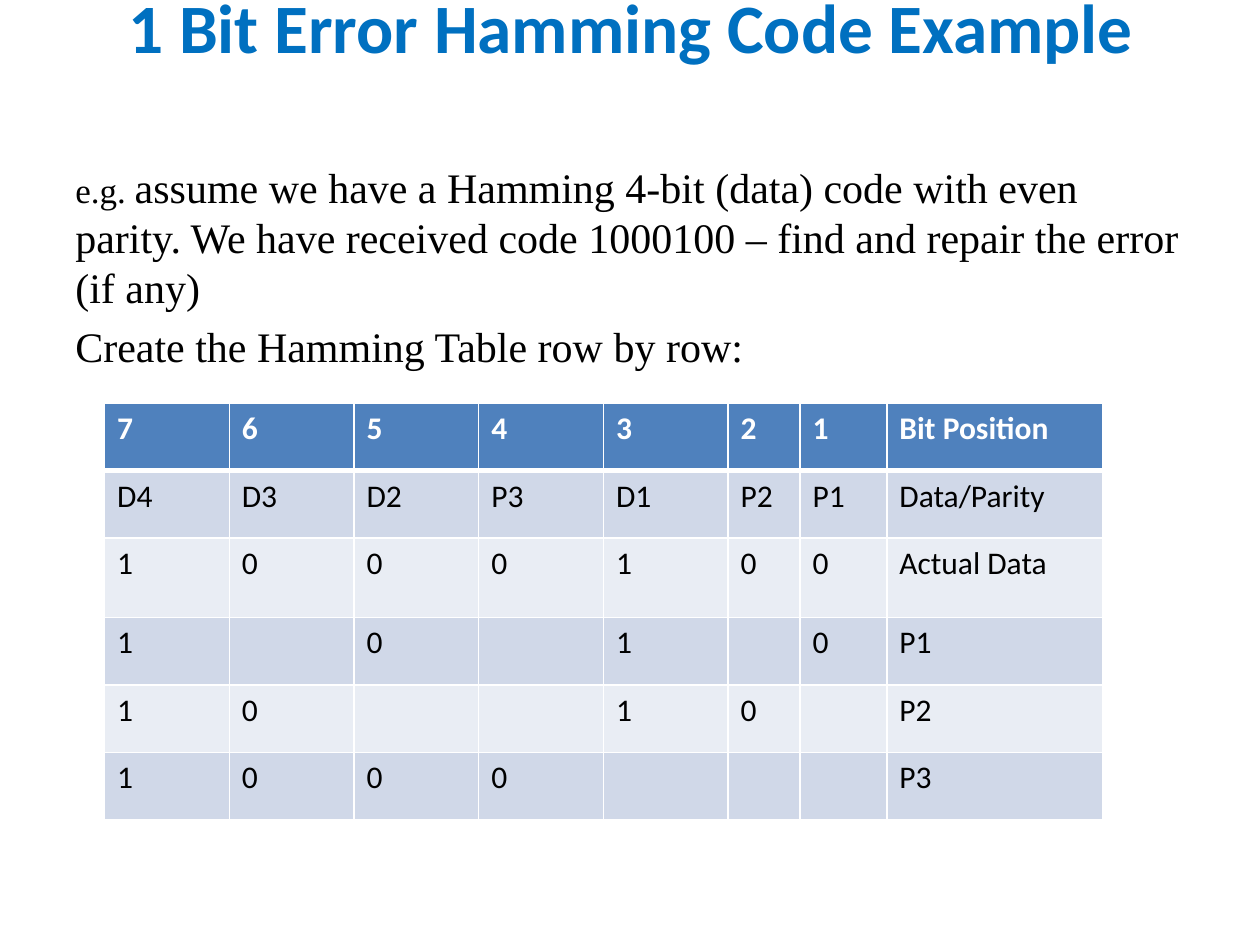
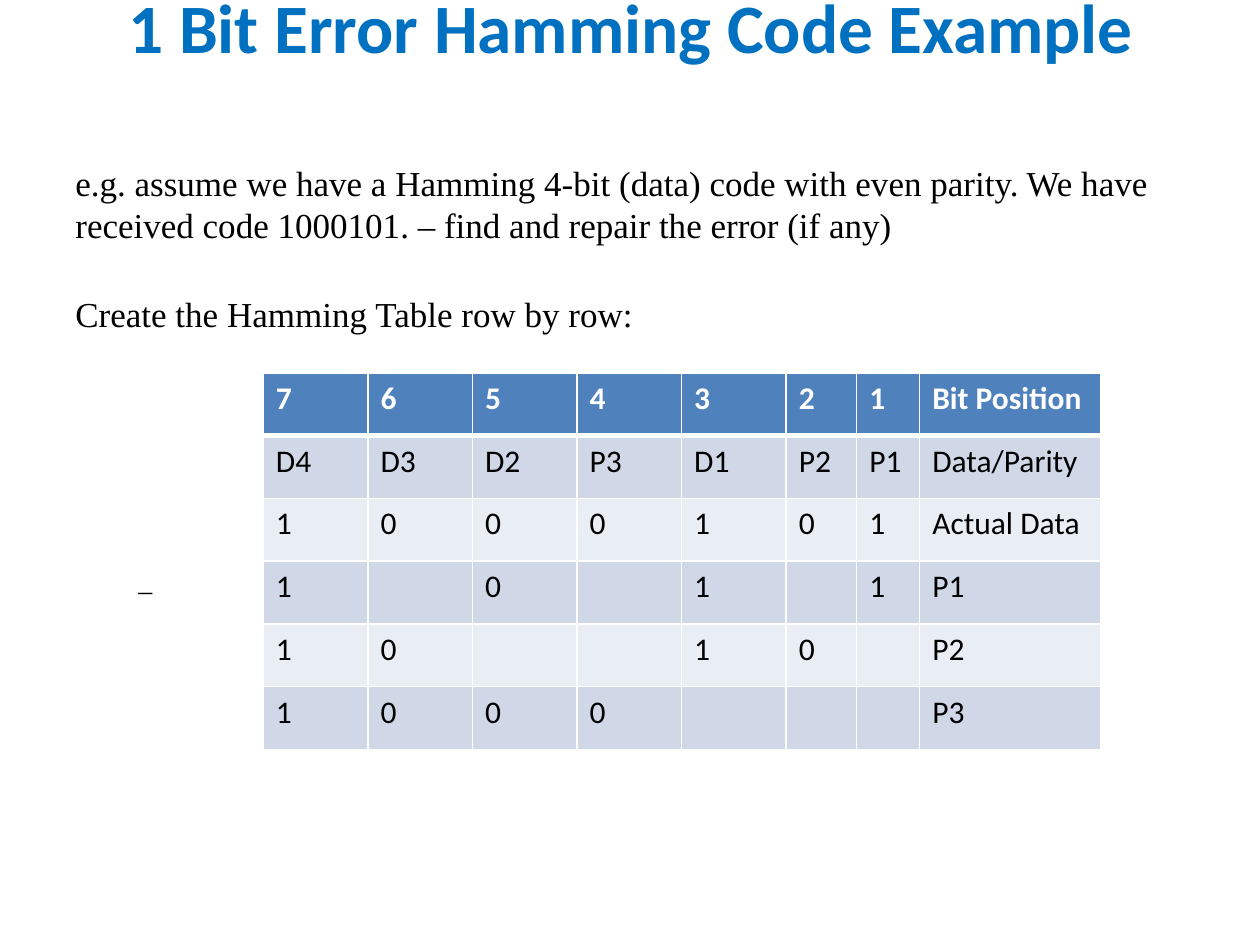
from dataclasses import dataclass

from lxml.etree import SubElement
from pptx import Presentation
from pptx.dml.color import RGBColor
from pptx.enum.text import MSO_ANCHOR, PP_ALIGN
from pptx.oxml.ns import qn
from pptx.slide import Slide
from pptx.table import _Cell
from pptx.text.text import _Paragraph
from pptx.util import Inches, Pt

COLORS = {"title": "0070C0", "text": "000000", "head": "4F81BD",
          "odd": "D0D8E8", "even": "E9EDF4", "line": "FFFFFF"}
TITLE = "1 Bit Error Hamming Code Example"
STEP = "Create the Hamming Table row by row:"
SPOTS = range(7, 0, -1)
KINDS = ["D4", "D3", "D2", "P3", "D1", "P2", "P1"]
CHECKS = {"P1": 1, "P2": 2, "P3": 4}
FACES = {
    "title": {"name": "Calibri", "size": Pt(39.6), "bold": True},
    "head": {"name": "Calibri", "size": Pt(18), "bold": True},
    "cell": {"name": "Calibri", "size": Pt(18), "bold": False},
    "body": {"name": "Times New Roman", "bold": False},
}


@dataclass
class Para:
    runs: list[tuple[str, float]]
    before: float = 0
    indent: float = 0


@dataclass
class Grid:
    left: float
    top: float
    cols: list[float]
    rows: list[float]


@dataclass
class Page:
    code: str
    depth: float
    paras: list[Para]
    grid: Grid


PAGES = [
    Page("1000100", 5.47, [
        Para([("e.g. ", 20),
              ("assume we have a Hamming 4-bit (data) code with even parity. "
               "We have received code 1000100 – find and repair the error (if any)", 24)]),
        Para([(STEP, 24)], 4.8),
    ], Grid(0.83, 3.2, [0.99] * 5 + [0.57, 0.69, 1.71],
            [2.68 / 5] * 2 + [0.63] + [2.68 / 5] * 3)),
    Page("1000101", 6.27, [
        Para([("e.g. assume we have a Hamming 4-bit (data) code with even parity. "
               "We have received code 1000101. – find and repair the error (if any)", 20)]),
        Para([(STEP, 20)], 27),
        Para([("–", 16)], 136, 0.5),
    ], Grid(2.09, 2.96, [0.83] * 5 + [0.56, 0.5, 1.44], [2.99 / 6] * 6)),
]


def write(para: _Paragraph, text: str, face: dict, color: str) -> None:
    run = para.add_run()
    run.text = text
    for key, value in face.items():
        setattr(run.font, key, value)
    run.font.color.rgb = RGBColor.from_string(COLORS[color])


def add_title(slide: Slide) -> None:
    box = slide.shapes.add_textbox(Inches(0.51), 0, Inches(9), Inches(1.07))
    form = {"word_wrap": True, "vertical_anchor": MSO_ANCHOR.TOP,
            "margin_top": 0, "margin_bottom": 0}
    for key, value in form.items():
        setattr(box.text_frame, key, value)
    para = box.text_frame.paragraphs[0]
    para.alignment = PP_ALIGN.CENTER
    para.line_spacing = 0.8
    write(para, TITLE, FACES["title"], "title")


def add_body(slide: Slide, page: Page) -> None:
    box = slide.shapes.add_textbox(Inches(0.5), Inches(1.23), Inches(9), Inches(page.depth))
    frame = box.text_frame
    frame.word_wrap = True
    for num, item in enumerate(page.paras):
        para = frame.add_paragraph() if num else frame.paragraphs[0]
        para.space_before = Pt(item.before)
        if item.indent:
            para._p.get_or_add_pPr().set("marL", str(Inches(item.indent)))
        for text, size in item.runs:
            write(para, text, FACES["body"] | {"size": Pt(size)}, "text")


def edge(cell: _Cell, head: bool, below: bool) -> None:
    props = cell._tc.get_or_add_tcPr()
    widths = {"lnL": 1, "lnR": 1, "lnT": 3 if below else 1, "lnB": 3 if head else 1}
    for num, (tag, width) in enumerate(widths.items()):
        line = SubElement(props, qn(f"a:{tag}"), w=str(Pt(width)))
        fill = SubElement(line, qn("a:solidFill"))
        SubElement(fill, qn("a:srgbClr"), val=COLORS["line"])
        props.insert(num, line)


def make_rows(code: str) -> list[list[str]]:
    rows = [[str(spot) for spot in SPOTS] + ["Bit Position"],
            KINDS + ["Data/Parity"], list(code) + ["Actual Data"]]
    for name, mask in CHECKS.items():
        bits = [bit if spot & mask else "" for spot, bit in zip(SPOTS, code)]
        rows.append(bits + [name])
    return rows


def add_grid(slide: Slide, page: Page) -> None:
    grid = page.grid
    frame = slide.shapes.add_table(
        len(grid.rows), len(grid.cols), Inches(grid.left), Inches(grid.top),
        Inches(sum(grid.cols)), Inches(sum(grid.rows)))
    table = frame.table
    for col, width in zip(table.columns, grid.cols):
        col.width = Inches(width)
    for row, height in zip(table.rows, grid.rows):
        row.height = Inches(height)
    for num, texts in enumerate(make_rows(page.code)):
        head = num == 0
        shade = "head" if head else "odd" if num % 2 else "even"
        for cell, text in zip(table.rows[num].cells, texts):
            cell.fill.solid()
            cell.fill.fore_color.rgb = RGBColor.from_string(COLORS[shade])
            edge(cell, head, num == 1)
            if text:
                write(cell.text_frame.paragraphs[0], text,
                      FACES["head" if head else "cell"], "line" if head else "text")


def main() -> None:
    deck = Presentation()
    deck.slide_width, deck.slide_height = Inches(10), Inches(7.5)
    for page in PAGES:
        slide = deck.slides.add_slide(deck.slide_layouts[6])
        add_title(slide)
        add_body(slide, page)
        add_grid(slide, page)
    deck.save("out.pptx")


if __name__ == "__main__":
    main()
